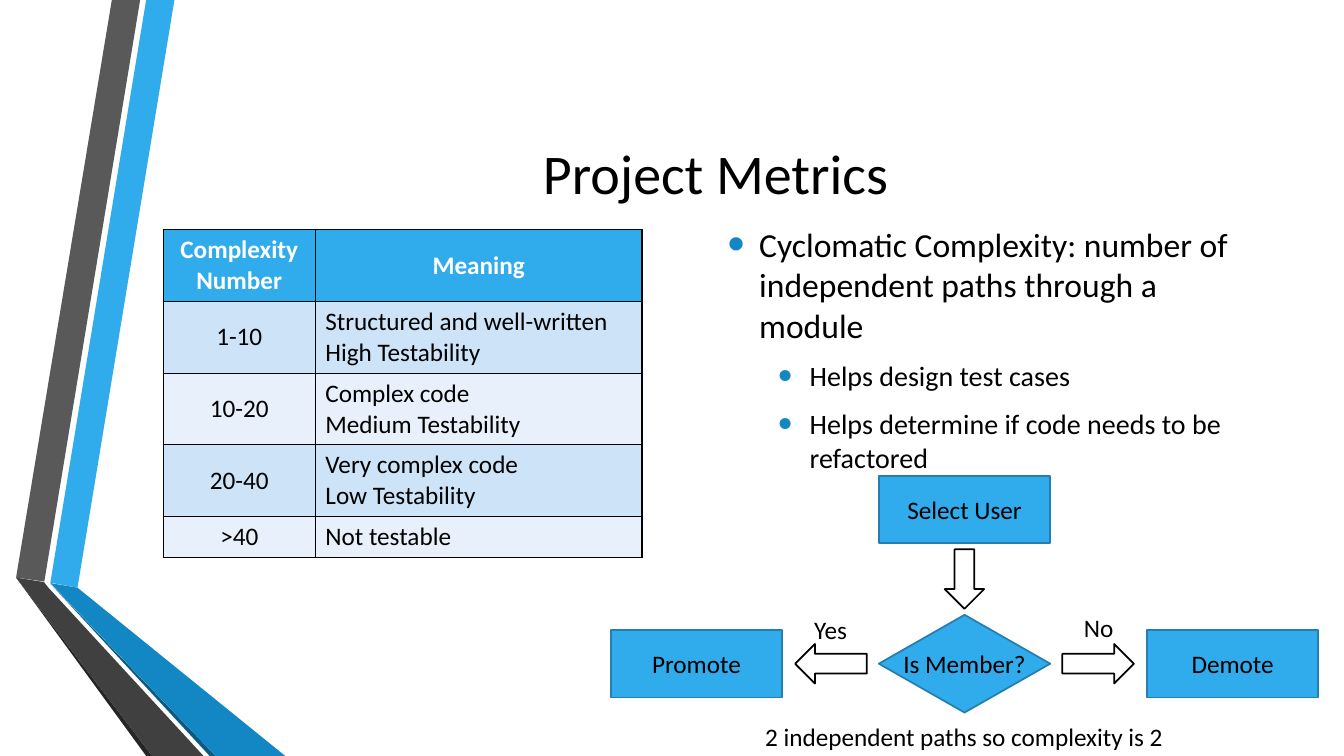
"""Build the Project Metrics slide with its complexity table and flowchart."""
from lxml import etree
from pptx import Presentation
from pptx.dml.color import RGBColor
from pptx.enum.shapes import MSO_SHAPE as SHAPE
from pptx.enum.text import MSO_ANCHOR as ANCHOR, MSO_AUTO_SIZE as AUTO, PP_ALIGN as ALIGN
from pptx.oxml import parse_xml
from pptx.oxml.ns import nsdecls, qn
from pptx.util import Pt

COLORS = {
    "black": "000000", "white": "FFFFFF", "blue": "30ACEC", "outline": "247FAF",
    "bullet": "1287C3", "deep": "0C5A82", "gray": "595959", "charcoal": "404040",
    "shade": "262626", "band": "CDE3F8", "pale": "E8F1FB",
}


def rgb(name):
    return RGBColor.from_string(COLORS[name])


def write(tf, text, size=18, color="black", bold=False, align=ALIGN.CENTER,
          anchor=ANCHOR.MIDDLE, wrap=True):
    tf.word_wrap = wrap
    tf.vertical_anchor = anchor
    for i, line in enumerate(text.split("\n")):
        p = tf.paragraphs[0] if i == 0 else tf.add_paragraph()
        p.alignment = align
        r = p.add_run()
        r.text = line
        r.font.name = "Calibri"
        r.font.size = Pt(size)
        r.font.bold = bold
        r.font.color.rgb = rgb(color)


prs = Presentation()
prs.slide_width, prs.slide_height = Pt(960), Pt(540)
s = prs.slides.add_slide(prs.slide_layouts[1])

ribbons = [
    ("blue", [(36, 416.2), (55.4, 419.8), (124.6, 0), (104.4, 0)]),
    ("gray", [(100.1, 0), (79.9, 0), (11.5, 412.6), (31.7, 415.4)]),
    ("shade", [(11.5, 412.6), (104.4, 540), (108.7, 540)]),
    ("deep", [(36, 416.9), (149.8, 540), (154.1, 540)]),
    ("bullet", [(36, 416.5), (154.1, 540), (203.8, 540), (55.4, 419.8)]),
    ("charcoal", [(145.4, 540), (34.6, 419.8), (31.4, 415.8), (11.5, 412.6), (108.7, 540)]),
]
for color, points in ribbons:
    corners = [(Pt(x), Pt(y)) for x, y in points]
    builder = s.shapes.build_freeform(*corners[0], scale=1.0)
    builder.add_line_segments(corners[1:], close=True)
    ribbon = builder.convert_to_shape()
    ribbon.shadow.inherit = False
    ribbon.fill.solid()
    ribbon.fill.fore_color.rgb = rgb(color)
    ribbon.line.fill.background()

title, body = s.placeholders
title.left, title.top, title.width, title.height = Pt(116.6), Pt(54), Pt(789), Pt(138.2)
write(title.text_frame, "Project Metrics", size=40)
title.text_frame.auto_size = AUTO.NONE

body.left, body.top, body.width, body.height = Pt(512.6), Pt(157.7), Pt(392.4), Pt(183)
tf = body.text_frame
points = [
    (0, "Cyclomatic Complexity: number of independent paths through a module"),
    (1, "Helps design test cases"),
    (1, "Helps determine if code needs to be refactored"),
]
write(tf, "\n".join(text for level, text in points), align=ALIGN.LEFT)
tf.auto_size = AUTO.NONE
for p, (level, text) in zip(tf.paragraphs, points):
    size = 20 if level else 24
    p.level = level
    p.runs[0].font.size = Pt(size)
    p.space_before, p.space_after = Pt(size * 0.2), Pt(6)
    pPr = p._p.get_or_add_pPr()
    pPr.set("marL", str(Pt(22.5 + 36 * level)))
    pPr.set("indent", str(-Pt(22.5)))
    color = etree.SubElement(pPr, qn("a:buClr"))
    etree.SubElement(color, qn("a:srgbClr"), val=COLORS["bullet"])
    etree.SubElement(pPr, qn("a:buSzPct"), val="145000")
    etree.SubElement(pPr, qn("a:buFont"), typeface="Arial")
    etree.SubElement(pPr, qn("a:buChar"), char="•")

rows = [
    ("Complexity Number", "Meaning"),
    ("1-10", "Structured and well-written\nHigh Testability"),
    ("10-20", "Complex code\nMedium Testability"),
    ("20-40", "Very complex code\nLow Testability"),
    (">40", "Not testable"),
]
heights = [51.1] * 4 + [29.2]
table = s.shapes.add_table(len(rows), 2, Pt(116.6), Pt(164.2), Pt(342), Pt(sum(heights))).table
table.columns[0].width, table.columns[1].width = Pt(108.7), Pt(233.3)
for i, row in enumerate(rows):
    table.rows[i].height = Pt(heights[i])
    fill = "blue" if i == 0 else "band" if i % 2 else "pale"
    for j, text in enumerate(row):
        cell = table.cell(i, j)
        cell.fill.solid()
        cell.fill.fore_color.rgb = rgb(fill)
        cell.vertical_anchor = ANCHOR.MIDDLE
        write(cell.text_frame, text, color="black" if i else "white", bold=i == 0,
              align=ALIGN.LEFT if i and j else ALIGN.CENTER)
        tcPr = cell._tc.get_or_add_tcPr()
        for k, side in enumerate(("lnL", "lnR", "lnT", "lnB")):
            tcPr.insert(k, parse_xml(
                f'<a:{side} {nsdecls("a")} w="{Pt(1)}"><a:solidFill>'
                f'<a:srgbClr val="{COLORS["black"]}"/></a:solidFill></a:{side}>'))

flow = [
    (SHAPE.RECTANGLE, 627.8, 339.8, 122.4, 48.2, "Select User"),
    (SHAPE.FLOWCHART_DECISION, 627.8, 439.2, 122.4, 69.8, "Is Member?"),
    (SHAPE.RECTANGLE, 436.3, 450, 122.4, 48.2, "Promote"),
    (SHAPE.RECTANGLE, 819.3, 450, 122.4, 48.2, "Demote"),
    (SHAPE.DOWN_ARROW, 674.8, 392.4, 28.2, 42.5, ""),
    (SHAPE.LEFT_ARROW, 568, 460, 51.2, 28.2, ""),
    (SHAPE.RIGHT_ARROW, 758.8, 460, 51.2, 28.2, ""),
]
for kind, x, y, w, h, text in flow:
    sp = s.shapes.add_shape(kind, Pt(x), Pt(y), Pt(w), Pt(h))
    sp.shadow.inherit = False
    sp.fill.solid()
    sp.fill.fore_color.rgb = rgb("blue" if text else "white")
    sp.line.color.rgb = rgb("outline" if text else "black")
    sp.line.width = Pt(1.25)
    if text:
        write(sp.text_frame, text, wrap=False)

labels = [
    (571, 435.6, 44.6, "Yes"),
    (762.5, 433.8, 44.6, "No"),
    (523.4, 512, 330.5, "2 independent paths so complexity is 2"),
]
for x, y, w, text in labels:
    box = s.shapes.add_textbox(Pt(x), Pt(y), Pt(w), Pt(28))
    write(box.text_frame, text, anchor=ANCHOR.TOP)

prs.save("out.pptx")
